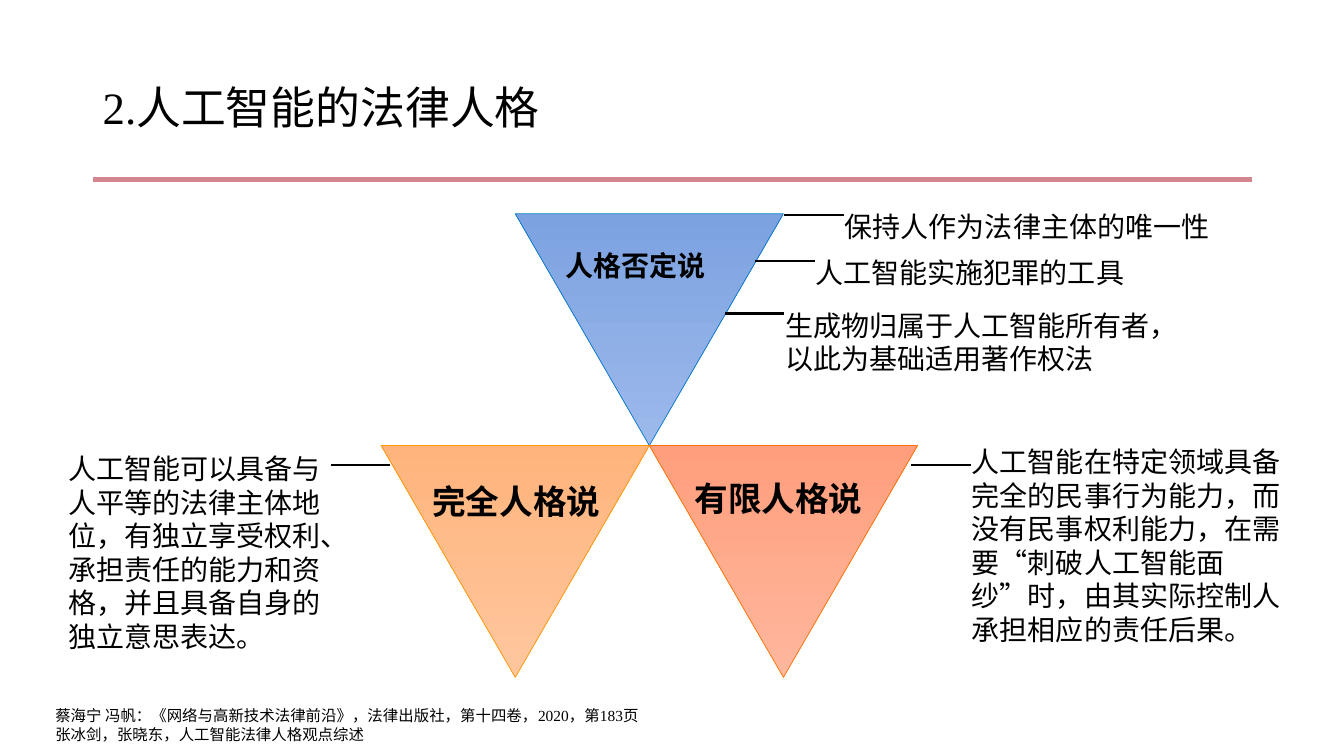
"""Build the slide on theories of the legal personality of AI."""
from lxml.etree import SubElement
from pptx import Presentation
from pptx.dml.color import RGBColor
from pptx.enum.shapes import MSO_CONNECTOR, MSO_SHAPE
from pptx.enum.text import MSO_ANCHOR, MSO_AUTO_SIZE
from pptx.oxml.ns import qn
from pptx.util import Pt

PX = 9144
WIDE, HIGH = 1333, 750
FONT, BLACK = "Times New Roman", "000000"
SIDE, DROP, LEAD = 266, 230, 59

TITLE = "2.人工智能的法律人格"
SOURCES = """蔡海宁 冯帆：《网络与高新技术法律前沿》，法律出版社，第十四卷，2020，第183页
张冰剑，张晓东，人工智能法律人格观点综述"""

# fields: column in half sides, row, gradient, outline, label, label box, size
VIEWS = [
    (1, 0, ("9DB9EC", "7CA2E0"), "0578C9", "人格否定说", (551, 242, 232, 44), 20),
    (0, 1, ("FFC69E", "FFB47C"), "FE9600", "完全人格说", (419, 472, 232, 50), 24),
    (2, 1, ("FFB79E", "FF9E7C"), "FF7100", "有限人格说", (679, 469, 232, 50), 24),
]
NOTES = [
    ("保持人作为法律主体的唯一性", (828, 203, 386, 44), (778, 213)),
    ("人工智能实施犯罪的工具", (799, 249, 360, 44), (749, 259)),
    ("生成物归属于人工智能所有者，以此为基础适用著作权法",
     (769, 301, 419, 77), (719, 311)),
    ("人工智能可以具备与人平等的法律主体地位，有独立享受权利、"
     "承担责任的能力和资格，并且具备自身的独立意思表达。",
     (58, 443, 295, 212), (328, 461)),
    ("人工智能在特定领域具备完全的民事行为能力，而没有民事权利能力，"
     "在需要“刺破人工智能面纱”时，由其实际控制人承担相应的责任后果。",
     (954, 436, 342, 212), (904, 461)),
]


def color(code):
    return RGBColor.from_string(code)


def scale(*sizes):
    return [size * PX for size in sizes]


def add_text(slide, text, box, size, bold=False):
    frame = slide.shapes.add_textbox(*scale(*box)).text_frame
    frame.text = text
    frame.word_wrap = True
    frame.auto_size = MSO_AUTO_SIZE.SHAPE_TO_FIT_TEXT
    for para in frame.paragraphs:
        for run in para.runs:
            run.font.name, run.font.size = FONT, Pt(size)
            run.font.bold = bold
            run.font.color.rgb = color(BLACK)
    return frame


def add_line(slide, left, top, length, code, width):
    line = slide.shapes.add_connector(
        MSO_CONNECTOR.STRAIGHT, *scale(left, top, left + length, top))
    line.line.color.rgb = color(code)
    line.line.width = Pt(width)
    SubElement(line._element.spPr, qn("a:effectLst"))


def add_view(slide, col, row, shades, edge):
    left, top = 378 + col * SIDE // 2, 212 + row * DROP
    shape = slide.shapes.add_shape(
        MSO_SHAPE.ISOSCELES_TRIANGLE, *scale(left, top, SIDE, DROP))
    shape.rotation = 180
    shape.shadow.inherit = False
    shape.fill.gradient()
    shape.fill.gradient_angle = 270
    for stop, shade, place in zip(shape.fill.gradient_stops, shades, (0, 1)):
        stop.color.rgb = color(shade)
        stop.position = place
    shape.line.color.rgb = color(edge)
    shape.line.width = Pt(0.5)


def main():
    deck = Presentation()
    deck.slide_width, deck.slide_height = scale(WIDE, HIGH)
    slide = deck.slides.add_slide(deck.slide_layouts[6])

    add_line(slide, 92, 178, 1150, "D4868E", 3)
    title = add_text(slide, TITLE, (92, 40, 1150, 138), 32)
    title.auto_size = MSO_AUTO_SIZE.NONE
    title.vertical_anchor = MSO_ANCHOR.MIDDLE
    title.paragraphs[0].line_spacing = 0.9

    for col, row, shades, edge, label, box, size in VIEWS:
        add_view(slide, col, row, shades, edge)
        add_text(slide, label, box, size, True)
    for text, box, start in NOTES:
        add_line(slide, *start, LEAD, BLACK, 1.5)
        add_text(slide, text, box, 20)
    add_text(slide, SOURCES, (45, 696, 625, 47), 11)
    deck.save("out.pptx")


if __name__ == "__main__":
    main()
